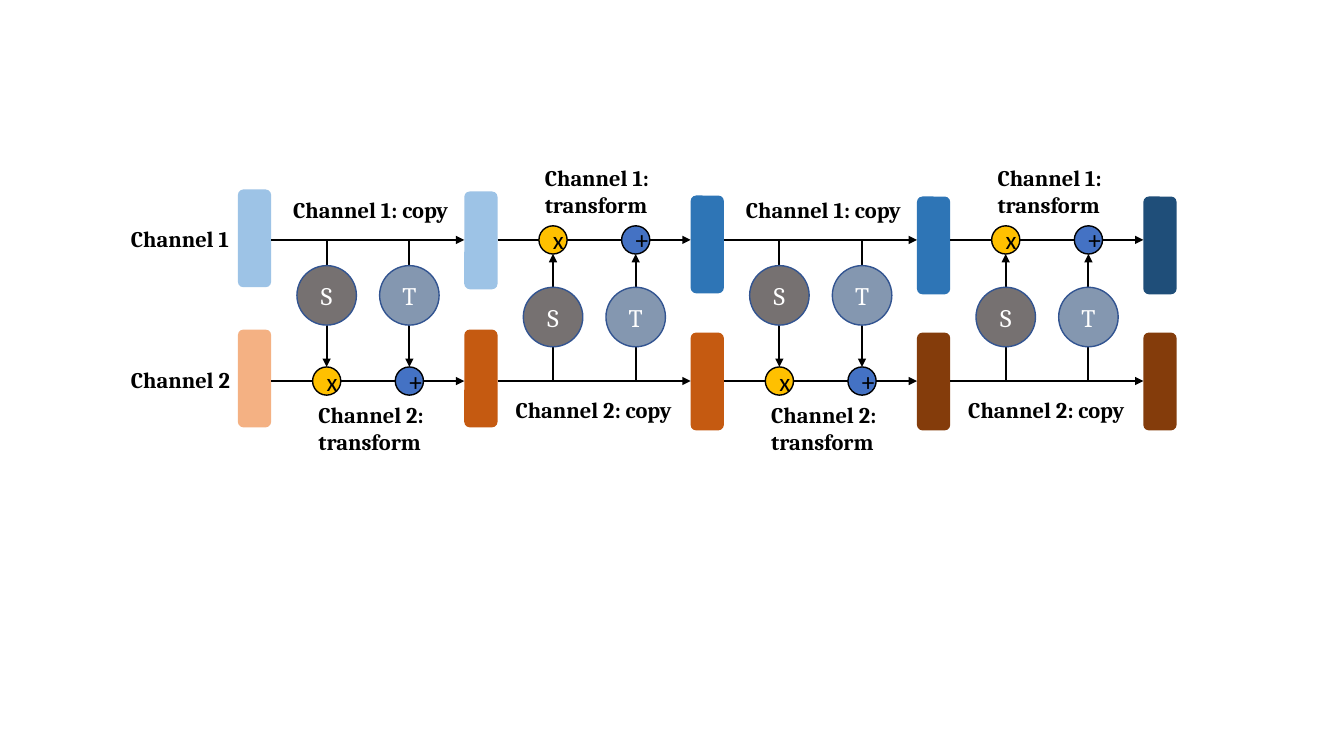
from lxml import etree
from pptx import Presentation
from pptx.dml.color import RGBColor
from pptx.enum.shapes import MSO_CONNECTOR, MSO_SHAPE
from pptx.enum.text import MSO_ANCHOR, PP_ALIGN
from pptx.oxml.ns import qn
from pptx.util import Inches, Pt

BAR, CIRCLE = MSO_SHAPE.ROUNDED_RECTANGLE, MSO_SHAPE.OVAL
STRAIGHT = MSO_CONNECTOR.STRAIGHT
MIDDLE, TOP = MSO_ANCHOR.MIDDLE, MSO_ANCHOR.TOP
CENTER, LEFT = PP_ALIGN.CENTER, PP_ALIGN.LEFT

COLORS = {
    "black": "000000", "white": "FFFFFF", "outline": "325491",
    "scale": "767171", "shift": "8497B0", "multiply": "FFC000", "add": "4472C4",
    "blue1": "9DC3E6", "blue2": "2E75B6", "blue3": "1F4E79",
    "orange1": "F4B183", "orange2": "C55A11", "orange3": "843C0B",
}

# Grid: five state columns, two channel rows
FIRST_COLUMN, PITCH = 2.36, 2.245
BAR_WIDTH, BAR_HEIGHT = 0.33, 0.97
ROWS = (2.38, 3.78)
BRANCHES = (0.88, 1.7)      # offsets of the S and T branches within a step
BRANCH_LENGTH = 1.26
NETWORK_SIZE, GATE_SIZE = 0.59, 0.28

prs = Presentation()
prs.slide_width, prs.slide_height = Inches(13.33), Inches(7.5)
slide = prs.slides.add_slide(prs.slide_layouts[6])
shapes = slide.shapes


def add_item(text, x, y, w, h, kind=None, fill=None, line=None, size=16,
             font="Cambria", color="black", bold=False, align=LEFT, anchor=TOP):
    """Add a filled shape of the given kind, or a text box when kind is None."""
    box = [Inches(v) for v in (x, y, w, h)]
    item = shapes.add_shape(kind, *box) if kind else shapes.add_textbox(*box)
    if kind:
        item.shadow.inherit = False
        item.fill.solid()
        item.fill.fore_color.rgb = RGBColor.from_string(COLORS[fill])
        if line:
            item.line.color.rgb = RGBColor.from_string(COLORS[line])
            item.line.width = Pt(1)
        else:
            item.line.fill.background()
    if text:
        frame = item.text_frame
        frame.word_wrap, frame.vertical_anchor = True, anchor
        paragraph = frame.paragraphs[0]
        paragraph.alignment = align
        run = paragraph.add_run()
        run.text = text
        run.font.size, run.font.name, run.font.bold = Pt(size), font, bold
        run.font.color.rgb = RGBColor.from_string(COLORS[color])


def add_arrow(x1, y1, x2, y2):
    """Add a black straight arrow that points at its second end."""
    arrow = shapes.add_connector(STRAIGHT, *[Inches(v) for v in (x1, y1, x2, y2)])
    arrow.line.color.rgb = RGBColor.from_string(COLORS["black"])
    arrow.line.width = Pt(1.5)
    etree.SubElement(arrow.line._get_or_add_ln(), qn("a:tailEnd"), type="triangle")
    etree.SubElement(arrow._element.spPr, qn("a:effectLst"))


# Channel states
states = [
    (("blue1", 1.88), ("orange1", 3.27)),
    (("blue1", 1.9), ("orange2", 3.27)),
    (("blue2", 1.94), ("orange2", 3.3)),
    (("blue2", 1.95), ("orange3", 3.3)),
    (("blue3", 1.95), ("orange3", 3.3)),
]
for column, state in enumerate(states):
    for fill, top in state:
        add_item("", FIRST_COLUMN + column * PITCH, top, BAR_WIDTH, BAR_HEIGHT,
                 kind=BAR, fill=fill)

for channel, row in enumerate(ROWS, start=1):
    add_item(f"Channel {channel}", 1.2, row - 0.2, 1.19, 0.37, bold=True)

# Coupling steps: the copied channel drives the transform of the other one
for step in range(4):
    left = FIRST_COLUMN + step * PITCH
    downward = step % 2 == 0
    source, target = ROWS if downward else ROWS[::-1]
    copied, transformed = (1, 2) if downward else (2, 1)
    direction = 1 if downward else -1
    network_y = 2.93 if downward else 3.145

    for row in ROWS:
        add_arrow(left + BAR_WIDTH, row, left + PITCH, row)

    branches = zip(BRANCHES, ("S", "T"), ("scale", "shift"),
                   ("x", "+"), ("multiply", "add"))
    for offset, network, network_fill, gate, gate_fill in branches:
        x = left + offset
        add_arrow(x, source, x, source + direction * BRANCH_LENGTH)
        for symbol, fill, y, side, look in (
            (network, network_fill, network_y, NETWORK_SIZE,
             {"line": "outline", "color": "white"}),
            (gate, gate_fill, target, GATE_SIZE,
             {"line": "black", "font": "Calibri"}),
        ):
            add_item(symbol, x - side / 2, y - side / 2, side, side, kind=CIRCLE,
                     fill=fill, size=18, align=CENTER, anchor=MIDDLE, **look)

    copy_x, copy_y = (0.45, 1.9) if downward else (0.41, 3.88)
    add_item(f"Channel {copied}: copy", left + copy_x, copy_y, 1.77, 0.37, bold=True)
    add_item(f"Channel {transformed}: transform", left + 0.7,
             3.93 if downward else 1.58, 1.29, 0.64, bold=True)

prs.save("out.pptx")
